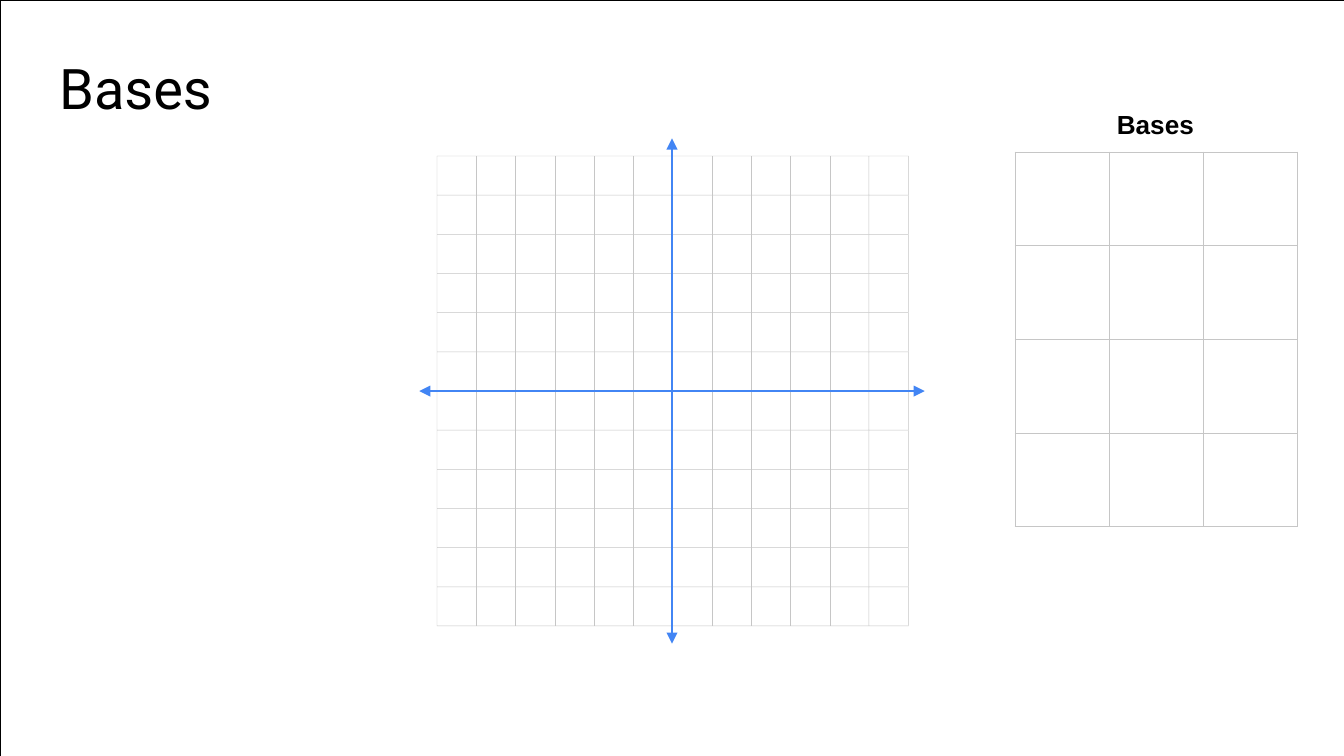
from lxml.etree import SubElement
from pptx import Presentation
from pptx.dml.color import RGBColor
from pptx.enum.shapes import MSO_CONNECTOR, MSO_SHAPE
from pptx.oxml.ns import qn
from pptx.util import Inches, Pt

BLACK = RGBColor(0x00, 0x00, 0x00)
WHITE = RGBColor(0xFF, 0xFF, 0xFF)
GREY = RGBColor(0xC6, 0xC6, 0xC6)
BLUE = RGBColor(0x42, 0x85, 0xF4)

# text, left, top, width, height, font, size, bold
LABELS = [
    ("Bases", 0.44, 0.39, 1.19, 0.53, "Roboto", 30, False),
    ("Bases", 8.31, 0.8, 0.6, 0.26, "Arial", 14, True),
]
GRID_LEFT, GRID_TOP, GRID_WIDTH, GRID_HEIGHT = 3.25, 1.16, 3.51, 3.5
GRID_STEPS = 12
CENTER_X, CENTER_Y, AXIS_HALF = 5, 2.91, 1.88
AXES = [
    ((CENTER_X - AXIS_HALF, CENTER_Y), (CENTER_X + AXIS_HALF, CENTER_Y)),
    ((CENTER_X, CENTER_Y - AXIS_HALF), (CENTER_X, CENTER_Y + AXIS_HALF)),
]
TABLE_LEFT, TABLE_TOP, TABLE_WIDTH, TABLE_HEIGHT = 7.55, 1.13, 2.1, 2.79
TABLE_ROWS, TABLE_COLUMNS = 4, 3
HAIRLINE = Pt(0.25)


def add_strips(page, strips):
    """Add one filled outline made of thin rectangles (left, top, width, height)."""
    builder = None
    for left, top, width, height in strips:
        if builder is None:
            builder = page.shapes.build_freeform(left, top)
        else:
            builder.move_to(left, top)
        right, bottom = left + width, top + height
        builder.add_line_segments([(right, top), (right, bottom), (left, bottom)])
    shape = builder.convert_to_shape()
    shape.shadow.inherit = False
    shape.fill.solid()
    shape.fill.fore_color.rgb = GREY
    shape.line.fill.background()


def add_grid(page):
    left, top, width, height = (
        Inches(value) for value in (GRID_LEFT, GRID_TOP, GRID_WIDTH, GRID_HEIGHT))
    steps = range(GRID_STEPS + 1)
    columns = [(left + (width - HAIRLINE) * step // GRID_STEPS, top, HAIRLINE, height)
               for step in steps]
    rows = [(left, top + (height - HAIRLINE) * step // GRID_STEPS, width, HAIRLINE)
            for step in steps]
    inner = columns[1:-2]
    for column in inner:
        add_strips(page, [column])
    add_strips(page, columns[:1] + columns[-2:] + rows)


def add_axis(page, start, end):
    axis = page.shapes.add_connector(
        MSO_CONNECTOR.STRAIGHT, *(Inches(value) for value in start + end))
    axis.line.color.rgb = BLUE
    axis.line.width = Pt(1)
    SubElement(axis._element.spPr, qn("a:effectLst"))
    outline = axis.line._get_or_add_ln()
    for tip in ("a:headEnd", "a:tailEnd"):
        SubElement(outline, qn(tip), type="triangle", w="med", len="med")


def add_bases_table(page):
    table = page.shapes.add_table(
        TABLE_ROWS, TABLE_COLUMNS, Inches(TABLE_LEFT), Inches(TABLE_TOP),
        Inches(TABLE_WIDTH), Inches(TABLE_HEIGHT)).table
    for column in table.columns:
        column.width = Inches(TABLE_WIDTH / TABLE_COLUMNS)
    for row in table.rows:
        row.height = Inches(TABLE_HEIGHT / TABLE_ROWS)
    for cell in table.iter_cells():
        properties = cell._tc.get_or_add_tcPr()
        for side in ("a:lnL", "a:lnR", "a:lnT", "a:lnB"):
            border = SubElement(properties, qn(side), w=str(HAIRLINE))
            fill = SubElement(border, qn("a:solidFill"))
            SubElement(fill, qn("a:srgbClr"), val=str(GREY))
        cell.fill.background()


def add_label(page, text, left, top, width, height, font, size, bold):
    box = page.shapes.add_textbox(
        Inches(left), Inches(top), Inches(width), Inches(height))
    frame = box.text_frame
    frame.word_wrap = True
    frame.margin_left = frame.margin_right = frame.margin_bottom = 0
    frame.margin_top = Inches(0.01)
    span = frame.paragraphs[0].add_run()
    span.text = text
    span.font.name = font
    span.font.size = Pt(size)
    span.font.bold = bold
    span.font.color.rgb = BLACK


deck = Presentation()
deck.slide_width = Inches(10)
deck.slide_height = deck.slide_width * 9 // 16
page = deck.slides.add_slide(deck.slide_layouts[6])
page.background.fill.solid()
page.background.fill.fore_color.rgb = WHITE

border = page.shapes.add_shape(
    MSO_SHAPE.RECTANGLE, 0, 0, deck.slide_width, deck.slide_height)
border.shadow.inherit = False
border.fill.background()
border.line.color.rgb = BLACK
border.line.width = HAIRLINE

add_grid(page)
for start, end in AXES:
    add_axis(page, start, end)
add_bases_table(page)
for label in LABELS:
    add_label(page, *label)

deck.save("out.pptx")
